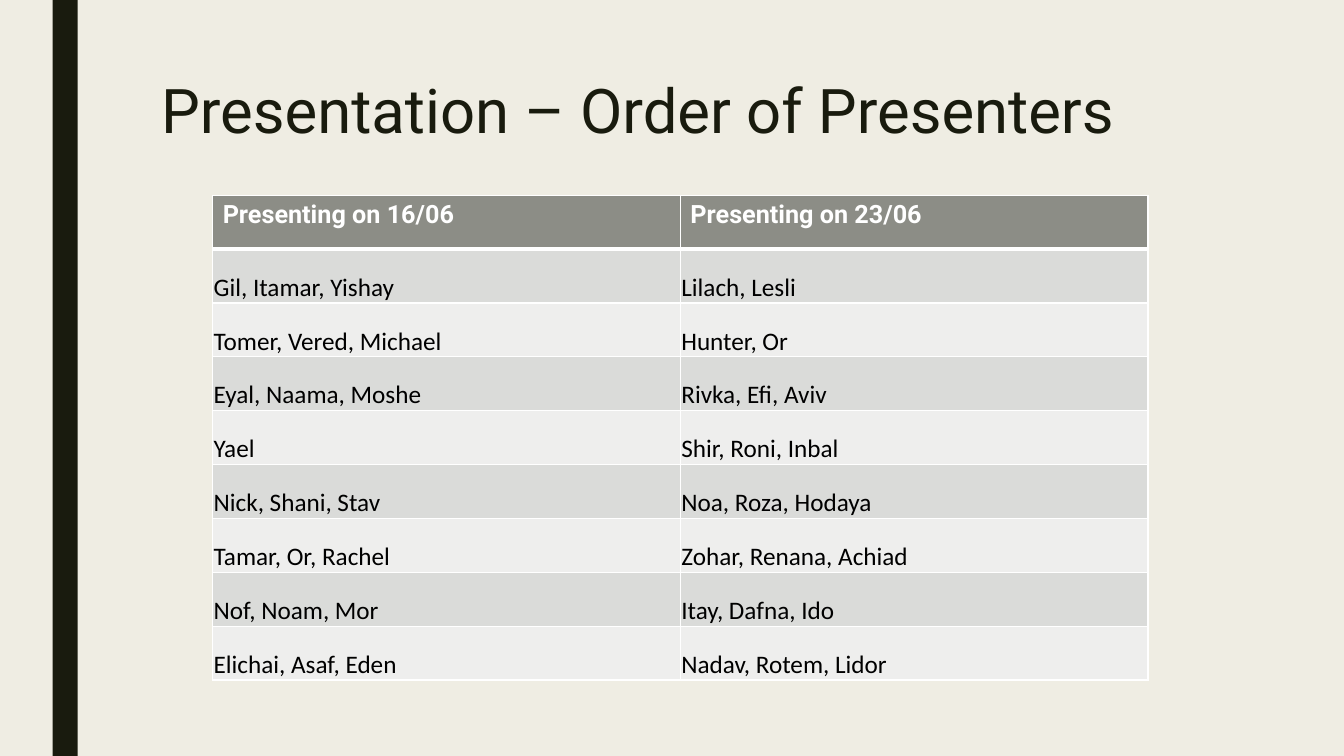
from dataclasses import dataclass

from lxml import etree
from pptx import Presentation
from pptx.dml.color import RGBColor
from pptx.enum import shapes, text
from pptx.oxml import ns
from pptx.util import Pt


@dataclass(frozen=True)
class Theme:
    paper: str = "EFEDE3"
    ink: str = "191B0E"
    head: str = "8C8D86"
    odd: str = "DADBD9"
    even: str = "EEEEED"
    white: str = "FFFFFF"
    black: str = "000000"
    title: float = 44
    body: float = 18
    thin: float = 1
    thick: float = 3


@dataclass(frozen=True)
class Box:
    left: float
    top: float
    width: float
    height: float

    def emu(self) -> tuple:
        return Pt(self.left), Pt(self.top), Pt(self.width), Pt(self.height)


@dataclass(frozen=True)
class Look:
    fill: str
    color: str
    font: dict
    cell: dict


THEME = Theme()
BAR = Box(37.5, 0, 18, 540)
TITLE = Box(108, 54, 756, 116.64)
GRID = Box(151.92, 139.5, 668.16, 346.32)
HEAD_FONT = {"name": "Roboto", "size": Pt(THEME.body), "bold": True}
BODY_FONT = {"name": "Calibri", "size": Pt(THEME.body), "bold": False}
HEAD_CELL = {"vertical_anchor": text.MSO_ANCHOR.TOP}
BODY_CELL = {
    "vertical_anchor": text.MSO_ANCHOR.BOTTOM,
    "margin_left": Pt(0.72),
    "margin_right": Pt(0.72),
    "margin_top": Pt(0.72),
    "margin_bottom": Pt(0),
}
HEAD = Look(THEME.head, THEME.white, HEAD_FONT, HEAD_CELL)
BANDS = [Look(fill, THEME.black, BODY_FONT, BODY_CELL)
         for fill in (THEME.odd, THEME.even)]
ROWS = [
    ("Presenting on 16/06", "Presenting on 23/06"),
    ("Gil, Itamar, Yishay", "Lilach, Lesli"),
    ("Tomer, Vered, Michael", "Hunter, Or"),
    ("Eyal, Naama, Moshe", "Rivka, Efi, Aviv"),
    ("Yael", "Shir, Roni, Inbal"),
    ("Nick, Shani, Stav", "Noa, Roza, Hodaya"),
    ("Tamar, Or, Rachel", "Zohar, Renana, Achiad"),
    ("Nof, Noam, Mor", "Itay, Dafna, Ido"),
    ("Elichai, Asaf, Eden", "Nadav, Rotem, Lidor"),
]


def apply(item, values: dict) -> None:
    for name, value in values.items():
        setattr(item, name, value)


def paint(fill, color: str) -> None:
    fill.solid()
    fill.fore_color.rgb = RGBColor.from_string(color)


def write(frame, words: str, color: str, font: dict) -> None:
    run = frame.paragraphs[0].add_run()
    run.text = words
    apply(run.font, font)
    run.font.color.rgb = RGBColor.from_string(color)


def edge(cell, row: int) -> None:
    props = cell._tc.get_or_add_tcPr()
    widths = {
        "L": THEME.thin,
        "R": THEME.thin,
        "T": THEME.thick if row == 1 else THEME.thin,
        "B": THEME.thick if row == 0 else THEME.thin,
    }
    for side, width in widths.items():
        line = etree.SubElement(props, ns.qn(f"a:ln{side}"), w=str(Pt(width)))
        solid = etree.SubElement(line, ns.qn("a:solidFill"))
        etree.SubElement(solid, ns.qn("a:srgbClr"), val=THEME.white)


def draw_bar(slide) -> None:
    bar = slide.shapes.add_shape(shapes.MSO_SHAPE.RECTANGLE, *BAR.emu())
    bar.shadow.inherit = False
    paint(bar.fill, THEME.ink)
    bar.line.fill.background()


def draw_title(slide) -> None:
    frame = slide.shapes.add_textbox(*TITLE.emu()).text_frame
    apply(frame, {"word_wrap": True, "vertical_anchor": text.MSO_ANCHOR.TOP})
    frame.paragraphs[0].line_spacing = 0.89
    font = {"name": "Roboto", "size": Pt(THEME.title)}
    write(frame, "Presentation – Order of Presenters", THEME.ink, font)


def draw_grid(slide) -> None:
    count, span = len(ROWS), len(ROWS[0])
    table = slide.shapes.add_table(count, span, *GRID.emu()).table
    apply(table, {"first_row": False, "horz_banding": False})
    for row, names in enumerate(ROWS):
        look = BANDS[(row - 1) % 2] if row else HEAD
        for col, words in enumerate(names):
            cell = table.cell(row, col)
            edge(cell, row)
            paint(cell.fill, look.fill)
            apply(cell, look.cell)
            write(cell.text_frame, words, look.color, look.font)


def main() -> None:
    deck = Presentation()
    apply(deck, {"slide_width": Pt(960), "slide_height": Pt(540)})
    slide = deck.slides.add_slide(deck.slide_layouts[6])
    paint(slide.background.fill, THEME.paper)
    draw_bar(slide)
    draw_title(slide)
    draw_grid(slide)
    deck.save("out.pptx")


if __name__ == "__main__":
    main()
